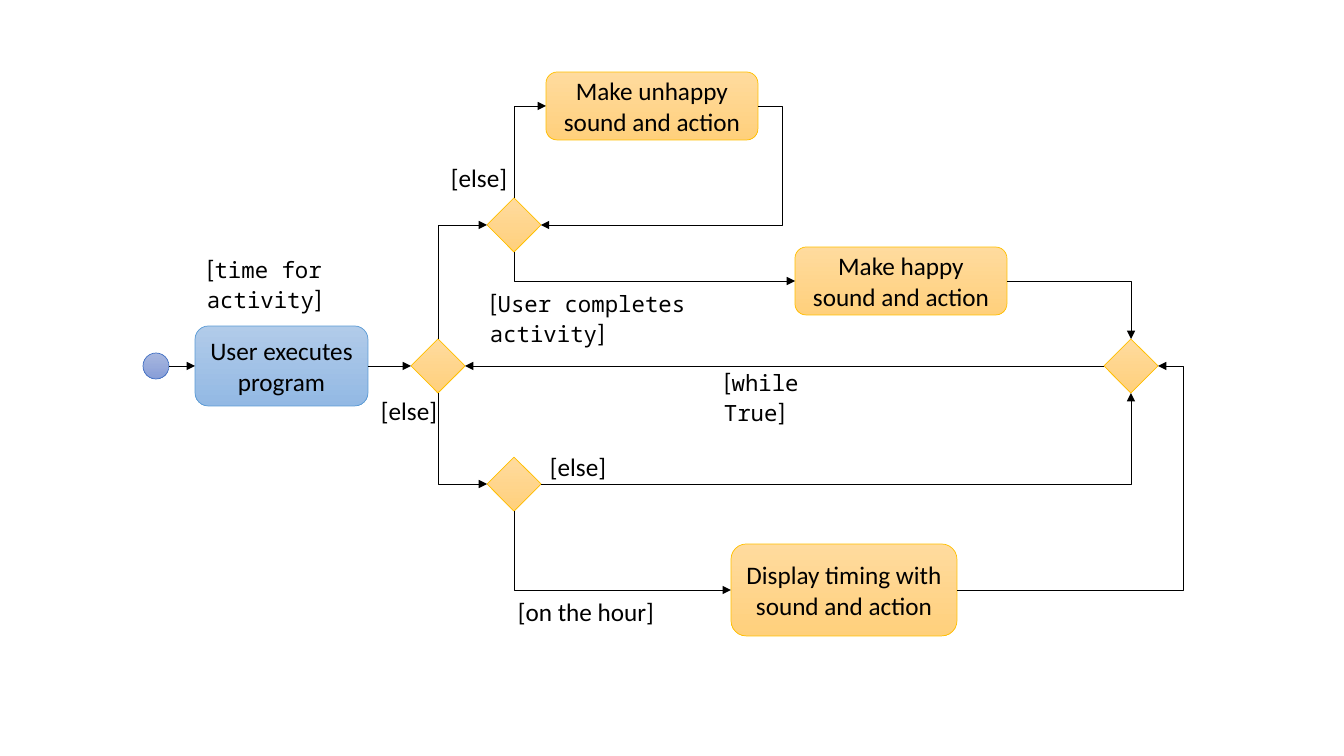
from lxml import etree
from pptx import Presentation
from pptx.dml.color import RGBColor
from pptx.enum.shapes import MSO_CONNECTOR, MSO_SHAPE
from pptx.enum.text import MSO_ANCHOR, MSO_AUTO_SIZE, PP_ALIGN
from pptx.oxml.ns import qn
from pptx.util import Pt

CIRCLE, DIAMOND = MSO_SHAPE.OVAL, MSO_SHAPE.DIAMOND
ROUNDED = MSO_SHAPE.ROUNDED_RECTANGLE
STRAIGHT, ELBOW = MSO_CONNECTOR.STRAIGHT, MSO_CONNECTOR.ELBOW
MIDDLE, CENTER = MSO_ANCHOR.MIDDLE, PP_ALIGN.CENTER
GROW = MSO_AUTO_SIZE.SHAPE_TO_FIT_TEXT

EMU_PER_PIXEL = 914400 / 100.8
DIAMOND_SIZE = 54
# Each node theme: gradient top, gradient bottom, outline
COLORS = {
    "black": "000000",
    "start": ("A8B7DF", "889ED7", "4472C4"),
    "program": ("B1CBE9", "93B9E4", "5B9BD5"),
    "step": ("FFDB9E", "FFD07C", "FFC000"),
}
BODY_FONT = ("Calibri", 18)
CODE_FONT = ("Noto Sans Mono", 16)


def emu(pixels):
    return round(pixels * EMU_PER_PIXEL)


def rgb(value):
    return RGBColor.from_string(value)


class Diagram:
    def __init__(self, slide):
        self.slide = slide
        self.line_width = Pt(0.5)

    def add_run(self, paragraph, text, font):
        run = paragraph.add_run()
        run.text = text
        run.font.name, run.font.size = font[0], Pt(font[1])
        run.font.color.rgb = rgb(COLORS["black"])

    def node(self, kind, theme, x, y, width, height, text=None):
        top_color, bottom_color, outline = COLORS[theme]
        shape = self.slide.shapes.add_shape(kind, *map(emu, (x, y, width, height)))
        shape.shadow.inherit = False
        shape.fill.gradient()
        shape.fill.gradient_angle = 270
        for stop, color in zip(shape.fill.gradient_stops, (top_color, bottom_color)):
            stop.color.rgb = rgb(color)
        shape.line.color.rgb = rgb(outline)
        shape.line.width = self.line_width
        if text:
            frame = shape.text_frame
            frame.word_wrap, frame.vertical_anchor = True, MIDDLE
            frame.paragraphs[0].alignment = CENTER
            self.add_run(frame.paragraphs[0], text, BODY_FONT)
        return shape

    def decision(self, center_x, center_y):
        half = DIAMOND_SIZE // 2
        return self.node(DIAMOND, "step", center_x - half, center_y - half,
                         DIAMOND_SIZE, DIAMOND_SIZE)

    def guard(self, x, y, width, text, font=BODY_FONT):
        box = self.slide.shapes.add_textbox(*map(emu, (x, y, width, 40)))
        frame = box.text_frame
        frame.word_wrap, frame.auto_size = True, GROW
        for part, part_font in (("[", BODY_FONT), (text, font), ("]", BODY_FONT)):
            self.add_run(frame.paragraphs[0], part, part_font)

    def side(self, shape, name):
        across, down = {"top": (1, 0), "left": (0, 1),
                        "bottom": (1, 2), "right": (2, 1)}[name]
        return (shape.left + shape.width * across // 2,
                shape.top + shape.height * down // 2)

    def connector(self, kind, begin, end):
        connector = self.slide.shapes.add_connector(kind, *begin, *end)
        connector.line.color.rgb = rgb(COLORS["black"])
        connector.line.width = self.line_width
        properties = connector.element.spPr
        etree.SubElement(properties.find(qn("a:ln")), qn("a:tailEnd"), type="triangle")
        etree.SubElement(properties, qn("a:effectLst"))
        return connector

    def arrow(self, source, source_side, target, target_side):
        self.connector(STRAIGHT, self.side(source, source_side),
                       self.side(target, target_side))

    def corner(self, source, source_side, target, target_side):
        """Arrow with one bend; leaving top or bottom needs a quarter turn."""
        begin, end = self.side(source, source_side), self.side(target, target_side)
        angle = {"top": 90, "bottom": 270}.get(source_side, 0)
        if angle:
            middle_x, middle_y = (begin[0] + end[0]) // 2, (begin[1] + end[1]) // 2
            half_w, half_h = abs(end[1] - begin[1]) // 2, abs(end[0] - begin[0]) // 2
            if angle == 90:
                half_h = -half_h
            begin = middle_x + half_w, middle_y - half_h
            end = middle_x - half_w, middle_y + half_h
        connector = self.connector(ELBOW, begin, end)
        connector.rotation = angle
        connector.element.spPr.find(qn("a:prstGeom")).set("prst", "bentConnector2")

    def loop(self, source, target, turn_x):
        """Arrow from right side to right side, turning at turn_x."""
        begin, end = self.side(source, "right"), self.side(target, "right")
        connector = self.connector(ELBOW, begin, end)
        bend = round((emu(turn_x) - begin[0]) / (end[0] - begin[0]) * 100000)
        geometry = connector.element.spPr.find(qn("a:prstGeom"))
        values = geometry.find(qn("a:avLst"))
        if values is None:
            values = etree.SubElement(geometry, qn("a:avLst"))
        etree.SubElement(values, qn("a:gd"), name="adj1", fmla=f"val {bend}")


presentation = Presentation()
presentation.slide_width, presentation.slide_height = emu(1344), emu(756)
blank_layout = presentation.slide_layouts[6]
diagram = Diagram(presentation.slides.add_slide(blank_layout))

# Start and activities
start = diagram.node(CIRCLE, "start", 143, 353, 26, 26)
program = diagram.node(ROUNDED, "program", 195, 326, 173, 80, "User executes program")
unhappy = diagram.node(ROUNDED, "step", 546, 72, 212, 68,
                       "Make unhappy sound and action")
happy = diagram.node(ROUNDED, "step", 795, 247, 212, 68, "Make happy sound and action")
timing = diagram.node(ROUNDED, "step", 731, 544, 226, 92,
                      "Display timing with sound and action")

# Decisions
activity_due = diagram.decision(438, 366)
activity_done = diagram.decision(514, 225)
hour_reached = diagram.decision(514, 484)
merge = diagram.decision(1131, 366)

# Main line
diagram.arrow(start, "right", program, "left")
diagram.arrow(program, "right", activity_due, "left")
diagram.arrow(merge, "left", activity_due, "right")

# Branches
for branch in (
    (activity_due, "top", activity_done, "left"),
    (activity_due, "bottom", hour_reached, "left"),
    (activity_done, "top", unhappy, "left"),
    (activity_done, "bottom", happy, "left"),
    (hour_reached, "bottom", timing, "left"),
    (hour_reached, "right", merge, "bottom"),
    (happy, "right", merge, "top"),
):
    diagram.corner(*branch)
diagram.loop(unhappy, activity_done, 783)
diagram.loop(timing, merge, 1183)

# Guard conditions
for x, y in ((371, 390), (540, 446), (441, 157)):
    diagram.guard(x, y, 94, "else")
diagram.guard(508, 591, 158, "on the hour")
diagram.guard(197, 248, 245, "time for activity", CODE_FONT)
diagram.guard(714, 361, 161, "while True", CODE_FONT)
diagram.guard(480, 282, 328, "User completes activity", CODE_FONT)

presentation.save("out.pptx")
